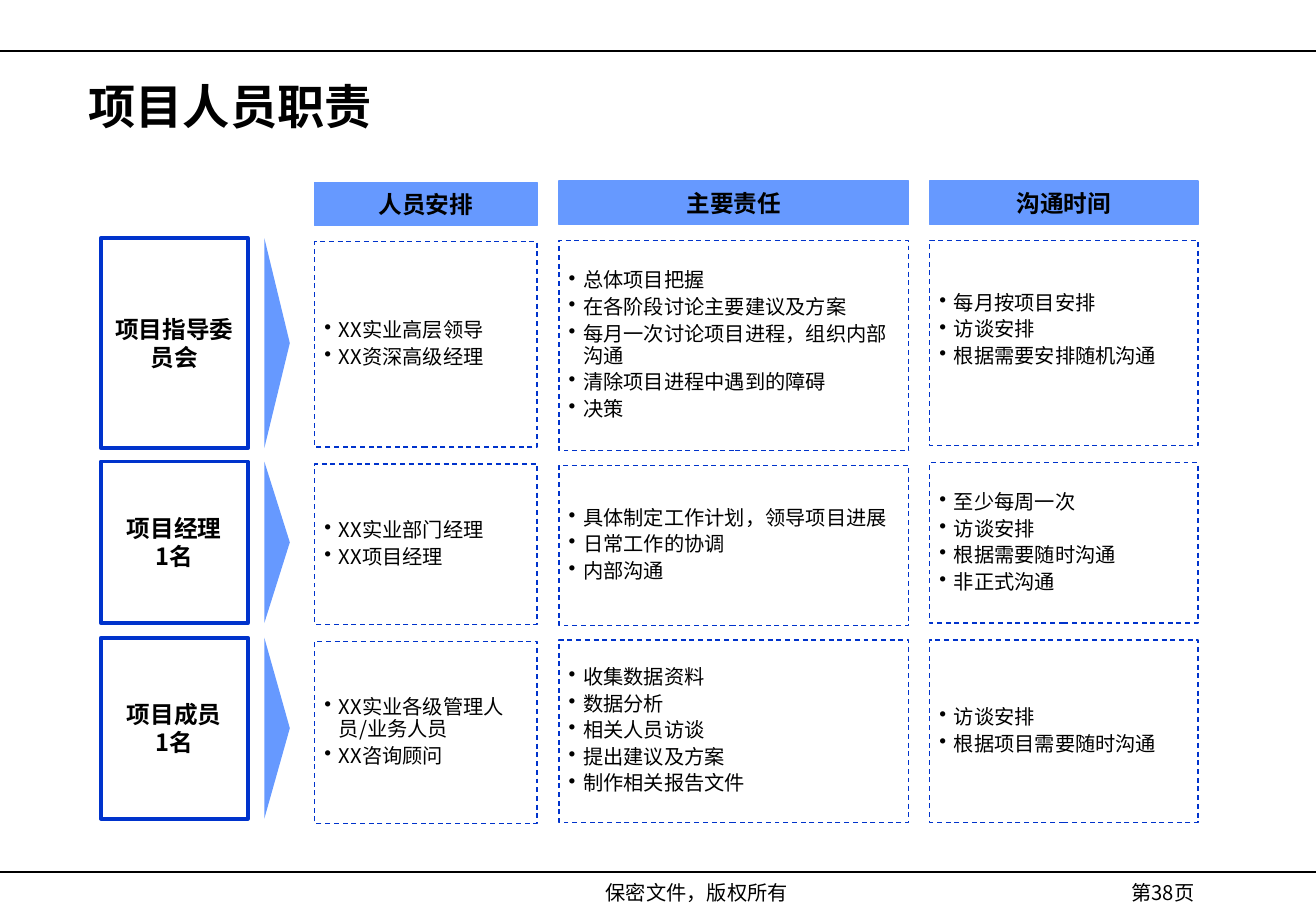
"""Build a slide that sets out project roles, duties and meeting times."""
from dataclasses import dataclass

from lxml import etree
from pptx import Presentation
from pptx import util as u
from pptx.dml.color import RGBColor
from pptx.enum import dml, shapes, text
from pptx.oxml import ns


@dataclass(frozen=True)
class Theme:
    ink: RGBColor = RGBColor(0x00, 0x00, 0x00)
    edge: RGBColor = RGBColor(0x00, 0x33, 0xCC)
    accent: RGBColor = RGBColor(0x66, 0x99, 0xFF)
    sans: str = "Noto Sans CJK SC"
    serif: str = "Times New Roman"
    title: int = 28
    heading: int = 14
    body: int = 12
    hairline: float = 0.75
    heavy: float = 2.25


@dataclass(frozen=True)
class Role:
    name: tuple
    top: float
    height: float
    cell_tops: tuple
    cell_heights: tuple
    cells: tuple
    last_bottom_inset: float = 0.04


THEME = Theme()
COLUMNS = (
    ("人员安排", 2.59, 1.83, 1.5),
    ("主要责任", 4.6, 2.88, 1.49),
    ("沟通时间", 7.65, 2.21, 1.49),
)
ROLES = (
    Role(("项目指导委员会",), 1.96, 1.73, (1.99, 1.98, 1.98), (1.69, 1.73, 1.69), (
        ("XX实业高层领导", "XX资深高级经理"),
        ("总体项目把握", "在各阶段讨论主要建议及方案",
         "每月一次讨论项目进程，组织内部沟通", "清除项目进程中遇到的障碍", "决策"),
        ("每月按项目安排", "访谈安排", "根据需要安排随机沟通"),
    ), 0.25),
    Role(("项目经理", "1名"), 3.8, 1.33, (3.82, 3.83, 3.81), (1.32,) * 3, (
        ("XX实业部门经理", "XX项目经理"),
        ("具体制定工作计划，领导项目进展", "日常工作的协调", "内部沟通"),
        ("至少每周一次", "访谈安排", "根据需要随时沟通", "非正式沟通"),
    )),
    Role(("项目成员", "1名"), 5.25, 1.49, (5.28, 5.27, 5.27), (1.5,) * 3, (
        ("XX实业各级管理人员/业务人员", "XX咨询顾问"),
        ("收集数据资料", "数据分析", "相关人员访谈", "提出建议及方案", "制作相关报告文件"),
        ("访谈安排", "根据项目需要随时沟通"),
    )),
)


def apply(target, values):
    for name, value in values.items():
        setattr(target, name, value)


def add_bullet(paragraph):
    properties = paragraph._p.get_or_add_pPr()
    apply_indent = {"marL": u.Inches(0.12), "indent": u.Inches(-0.12)}
    for name, length in apply_indent.items():
        properties.set(name, str(length))
    etree.SubElement(properties, ns.qn("a:buChar")).set("char", "•")


def write(holder, lines, size, bold=False, centred=True, bulleted=False,
          insets=(0.1, 0.05, 0.1, 0.05), anchor=text.MSO_ANCHOR.MIDDLE, face=THEME.sans):
    frame = holder.text_frame
    left, top, right, bottom = map(u.Inches, insets)
    apply(frame, {"word_wrap": True, "vertical_anchor": anchor, "margin_left": left,
                  "margin_top": top, "margin_right": right, "margin_bottom": bottom})
    for index, line in enumerate(lines):
        paragraph = frame.add_paragraph() if index else frame.paragraphs[0]
        paragraph.alignment = text.PP_ALIGN.CENTER if centred else text.PP_ALIGN.LEFT
        if bulleted:
            paragraph.line_spacing = 0.9
            if index:
                paragraph.space_before = u.Pt(2.8)
            add_bullet(paragraph)
        run = paragraph.add_run()
        run.text = line
        apply(run.font, {"size": u.Pt(size), "bold": bold, "name": face})
        run.font.color.rgb = THEME.ink
        east_asian = etree.SubElement(run._r.get_or_add_rPr(), ns.qn("a:ea"))
        east_asian.set("typeface", THEME.sans)


def add_label(slide, box, line, size, **style):
    label = slide.shapes.add_textbox(*map(u.Inches, box))
    write(label, (line,), size, **style)


def add_block(slide, box, fill=None, line=None, width=THEME.hairline, dash=None,
              kind=shapes.MSO_SHAPE.RECTANGLE):
    block = slide.shapes.add_shape(kind, *map(u.Inches, box))
    block.shadow.inherit = False
    if fill is None:
        block.fill.background()
    else:
        block.fill.solid()
        block.fill.fore_color.rgb = fill
    if line is None:
        block.line.fill.background()
    else:
        block.line.color.rgb = line
        apply(block.line, {"width": u.Pt(width), "dash_style": dash})
    return block


def add_rule(slide, y):
    rule = slide.shapes.add_connector(
        shapes.MSO_CONNECTOR.STRAIGHT, 0, u.Inches(y), u.Inches(10.83), u.Inches(y))
    rule.line.color.rgb = THEME.ink
    rule.line.width = u.Pt(THEME.hairline)
    etree.SubElement(rule._element.spPr, ns.qn("a:effectLst"))


def add_header(slide, name, left, width, top):
    header = add_block(slide, (left, top, width, 0.36), THEME.accent, THEME.accent)
    write(header, (name,), THEME.heading, bold=True, insets=(0, 0, 0, 0))


def add_pointer(slide, top, height):
    breadth, centre = 0.21, 2.28
    box = (centre - height / 2, top + height / 2 - breadth / 2, height, breadth)
    pointer = add_block(slide, box, THEME.accent, kind=shapes.MSO_SHAPE.ISOSCELES_TRIANGLE)
    pointer.rotation = 90


def add_role(slide, role):
    name_box = add_block(slide, (0.83, role.top, 1.21, role.height),
                         line=THEME.edge, width=THEME.heavy)
    write(name_box, role.name, THEME.heading, bold=True)
    add_pointer(slide, role.top, role.height)
    bottoms = (0.04, 0.04, role.last_bottom_inset)
    for column, top, height, items, bottom in zip(
            COLUMNS, role.cell_tops, role.cell_heights, role.cells, bottoms):
        cell = add_block(slide, (column[1], top, column[2], height),
                         line=THEME.edge, dash=dml.MSO_LINE.DASH)
        write(cell, items, THEME.body, centred=False, bulleted=True,
              insets=(0.08, 0.04, 0.08, bottom))


def main():
    deck = Presentation()
    apply(deck, {"slide_width": u.Inches(10.83), "slide_height": u.Inches(7.5)})
    slide = deck.slides.add_slide(deck.slide_layouts[6])
    for y in (0.42, 7.18):
        add_rule(slide, y)
    add_label(slide, (0.63, 0.58, 9.75, 0.58), "项目人员职责", THEME.title,
              bold=True, centred=False)
    for column in COLUMNS:
        add_header(slide, *column)
    for role in ROLES:
        add_role(slide, role)
    add_label(slide, (2.8, 7.2, 5.87, 0.3), "保密文件，版权所有", THEME.body,
              anchor=text.MSO_ANCHOR.TOP, face=THEME.serif)
    add_label(slide, (8.76, 7.2, 1.62, 0.3), "第38页", THEME.body,
              anchor=text.MSO_ANCHOR.TOP)
    deck.save("out.pptx")


if __name__ == "__main__":
    main()
